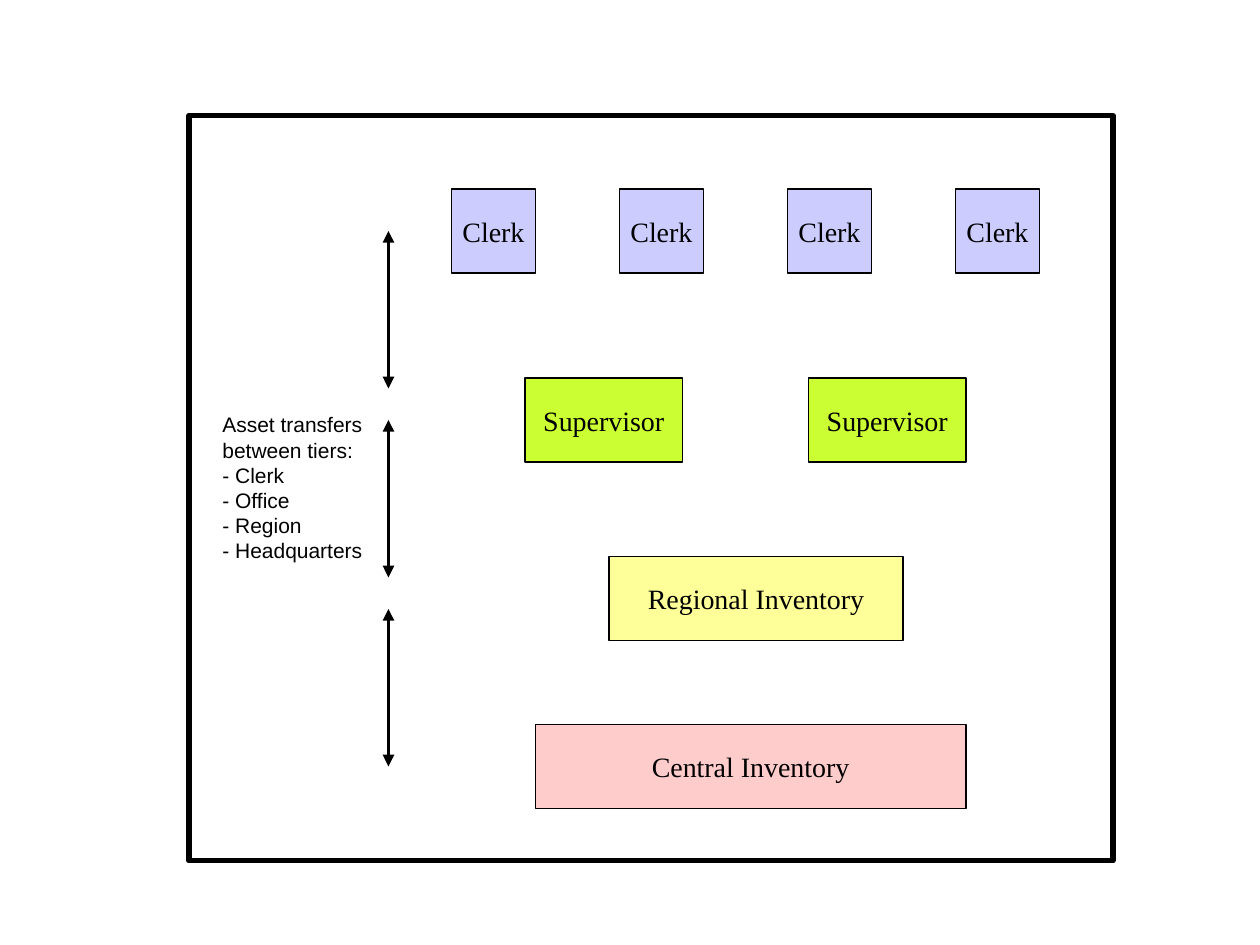
from lxml import etree
from pptx import Presentation
from pptx.dml.color import RGBColor
from pptx.enum.shapes import MSO_CONNECTOR, MSO_SHAPE
from pptx.enum.text import MSO_ANCHOR, PP_ALIGN
from pptx.oxml.ns import qn
from pptx.util import Inches, Pt

RECT = MSO_SHAPE.RECTANGLE
STRAIGHT = MSO_CONNECTOR.STRAIGHT
CENTER, LEFT = PP_ALIGN.CENTER, PP_ALIGN.LEFT
MIDDLE, TOP = MSO_ANCHOR.MIDDLE, MSO_ANCHOR.TOP

BLACK = RGBColor(0x00, 0x00, 0x00)
LAVENDER = RGBColor(0xCC, 0xCC, 0xFF)
LIME = RGBColor(0xCC, 0xFF, 0x33)
YELLOW = RGBColor(0xFF, 0xFF, 0x99)
PINK = RGBColor(0xFF, 0xCC, 0xCC)

UNIT = Inches(1) // 12  # grid step: the slide is 120 columns by 90 rows
FRAME = (18, 11, 88, 71)
TIER_HEIGHT = 8
# label, fill, count, then left, top, width and pitch within the frame
TIERS = [
    ("Clerk", LAVENDER, 4, 25, 7, 8, 16),
    ("Supervisor", LIME, 2, 32, 25, 15, 27),
    ("Regional Inventory", YELLOW, 1, 40, 42, 28, 0),
    ("Central Inventory", PINK, 1, 33, 58, 41, 0),
]
NOTES = ["Asset transfers", "between tiers:", "- Clerk", "- Office",
         "- Region", "- Headquarters"]


def grid(*cells):
    return [round(c * UNIT) for c in cells]


def write(sp, lines, size=16, font="Times New Roman", align=CENTER,
          anchor=MIDDLE, wrap=False, spacing=None):
    tf = sp.text_frame
    tf.word_wrap = wrap
    tf.vertical_anchor = anchor
    for i, line in enumerate(lines):
        p = tf.paragraphs[0] if i == 0 else tf.add_paragraph()
        p.alignment = align
        p.line_spacing = spacing
        r = p.add_run()
        r.text = line
        r.font.size = Pt(size)
        r.font.name = font
        r.font.color.rgb = BLACK


def add_box(slide, box, fill=None, weight=0.75):
    sp = slide.shapes.add_shape(RECT, *grid(*box))
    sp.shadow.inherit = False
    if fill is None:
        sp.fill.background()
    else:
        sp.fill.solid()
        sp.fill.fore_color.rgb = fill
    sp.line.color.rgb = BLACK
    sp.line.width = Pt(weight)
    return sp


def add_tiers(slide, box):
    for label, fill, count, left, top, width, pitch in TIERS:
        for i in range(count):
            x, y = box[0] + left + i * pitch, box[1] + top
            sp = add_box(slide, (x, y, width, TIER_HEIGHT), fill)
            write(sp, [label])


def add_transfer_arrow(slide, x, top, bottom):
    line = slide.shapes.add_connector(STRAIGHT, *grid(x, top, x, bottom))
    line.line.color.rgb = BLACK
    line.line.width = Pt(2.25)
    ln = line.line._get_or_add_ln()
    for end in ("a:headEnd", "a:tailEnd"):
        etree.SubElement(ln, qn(end), type="triangle")
    etree.SubElement(line._element.spPr, qn("a:effectLst"))


def add_transfers(slide, box):
    """Arrows between neighbouring tiers, with the note on their left."""
    x, y = box[:2]
    for i in range(3):
        top = y + 11 + 18 * i
        add_transfer_arrow(slide, x + 19, top, top + 15)
    note = slide.shapes.add_textbox(*grid(x + 2, y + 27.64, 16, 15.6))
    write(note, NOTES, size=12, font="Arial", align=LEFT, anchor=TOP,
          wrap=True, spacing=Pt(14.4))


def main():
    prs = Presentation()
    prs.slide_width, prs.slide_height = grid(120, 90)
    slide = prs.slides.add_slide(prs.slide_layouts[6])
    add_tiers(slide, FRAME)
    add_transfers(slide, FRAME)
    add_box(slide, FRAME, weight=3)
    prs.save("out.pptx")


if __name__ == "__main__":
    main()
